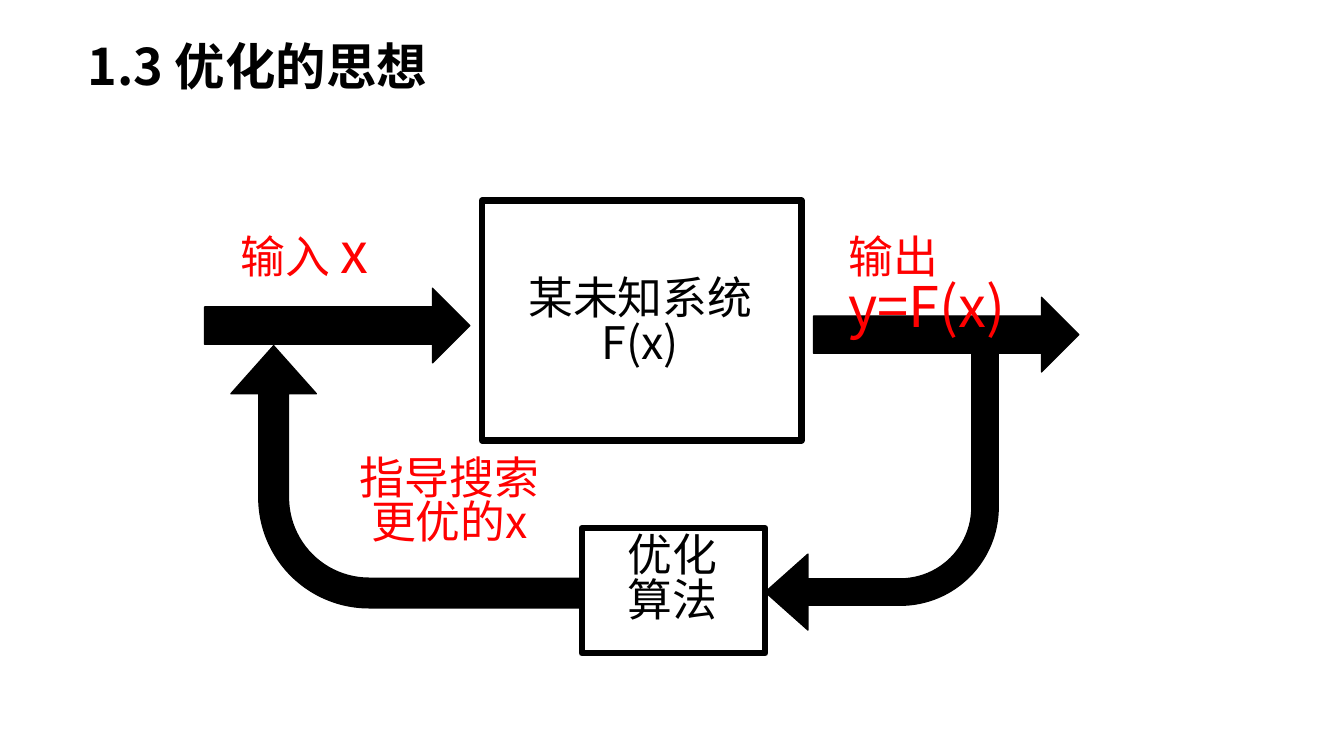
from pptx import Presentation
from pptx.dml.color import RGBColor
from pptx.enum.shapes import MSO_SHAPE as Shape
from pptx.enum.text import PP_ALIGN as Align
from pptx.oxml.ns import qn
from pptx.util import Pt
from lxml.etree import SubElement

PX = 9144  # 100 px to the inch
FONT = "Noto Sans CJK SC"
BLACK, RED = "000000", "FF0000"
BEND = (0.113, 0.163, 0.183, 0.421)


def color(hex_string):
    return RGBColor.from_string(hex_string)


def emu(*lengths):
    return [length * PX for length in lengths]


def add_text(slide, box, lines, ink=BLACK, size=32, bold=False, wrap=False, spacing=0.83):
    """Each line is a list of (text, size) pieces; size None keeps the paragraph's size."""
    frame = slide.shapes.add_textbox(*emu(*box)).text_frame
    frame.word_wrap = wrap
    for number, pieces in enumerate(lines):
        line = frame.add_paragraph() if number else frame.paragraphs[0]
        line.alignment = Align.CENTER if number else Align.LEFT
        line.line_spacing = spacing
        line.font.name = FONT
        line.font.size = Pt(size)
        line.font.bold = bold
        line.font.color.rgb = color(ink)
        SubElement(line.font._element, qn("a:ea"), typeface=FONT)
        for text, piece_size in pieces:
            run = line.add_run()
            run.text = text
            if piece_size:
                run.font.size = Pt(piece_size)
    return frame


def add_block(slide, kind, box, fill=None, line_width=1.0, rotation=0, adjustments=()):
    block = slide.shapes.add_shape(kind, *emu(*box))
    block.shadow.inherit = False
    block.rotation = rotation
    if fill:
        block.fill.solid()
        block.fill.fore_color.rgb = color(fill)
    else:
        block.fill.background()
    block.line.color.rgb = color(BLACK)
    block.line.width = Pt(line_width)
    for index, value in enumerate(adjustments):
        block.adjustments[index] = value


def title(slide, left, top):
    heading = add_text(slide, (left, top, 781, 71), [[("1.3 优化的思想", None)]],
                       size=36, bold=True, wrap=True, spacing=1.0)
    properties = heading.paragraphs[0]._p.get_or_add_pPr()
    properties.set("marL", "0")
    properties.set("indent", str(50 * PX))


def labelled_box(slide, box, label_width, lines, label_shift=0):
    left, top, width, height = box
    add_block(slide, Shape.RECTANGLE, box, line_width=4.5)
    label = (left + (width - label_width) // 2, top + (height - 118) // 2 + label_shift,
             label_width, 118)
    add_text(slide, label, [[(line, None)] for line in lines])


def signal(slide, left, top, label_left, label_width, name, symbol):
    """A straight arrow with its red label above and across it."""
    add_block(slide, Shape.RIGHT_ARROW, (left, top, 263, 74), fill=BLACK)
    add_text(slide, (left + label_left, top - 64, label_width, 77),
             [[(name + " ", None), (symbol, 40)]], ink=RED, wrap=True)


def feedback_loop(slide, left, top):
    """Two bent arrows lead from the output through the algorithm to the input."""
    for box, rotation in (((530, 0, 231, 282), 180), ((44, -44, 260, 348), 270)):
        x, y, width, height = box
        add_block(slide, Shape.BENT_ARROW, (left + x, top + y, width, height),
                  fill=BLACK, rotation=rotation, adjustments=BEND)
    add_text(slide, (left + 118, top + 107, 200, 118),
             [[("指导搜索", None)], [("更优的x", None)]], ink=RED)


def main():
    deck = Presentation()
    deck.slide_width, deck.slide_height = emu(1333, 750)
    slide = deck.slides.add_slide(deck.slide_layouts[6])
    title(slide, 27, 30)
    labelled_box(slide, (478, 199, 317, 238), 245, ["某未知系统", "F(x)"], label_shift=13)
    signal(slide, 203, 286, 26, 147, "输入", "x")
    labelled_box(slide, (577, 524, 182, 124), 110, ["优化", "算法"])
    feedback_loop(slide, 229, 343)
    signal(slide, 807, 295, 25, 270, "输出", "y=F(x)")
    deck.save("out.pptx")


if __name__ == "__main__":
    main()
